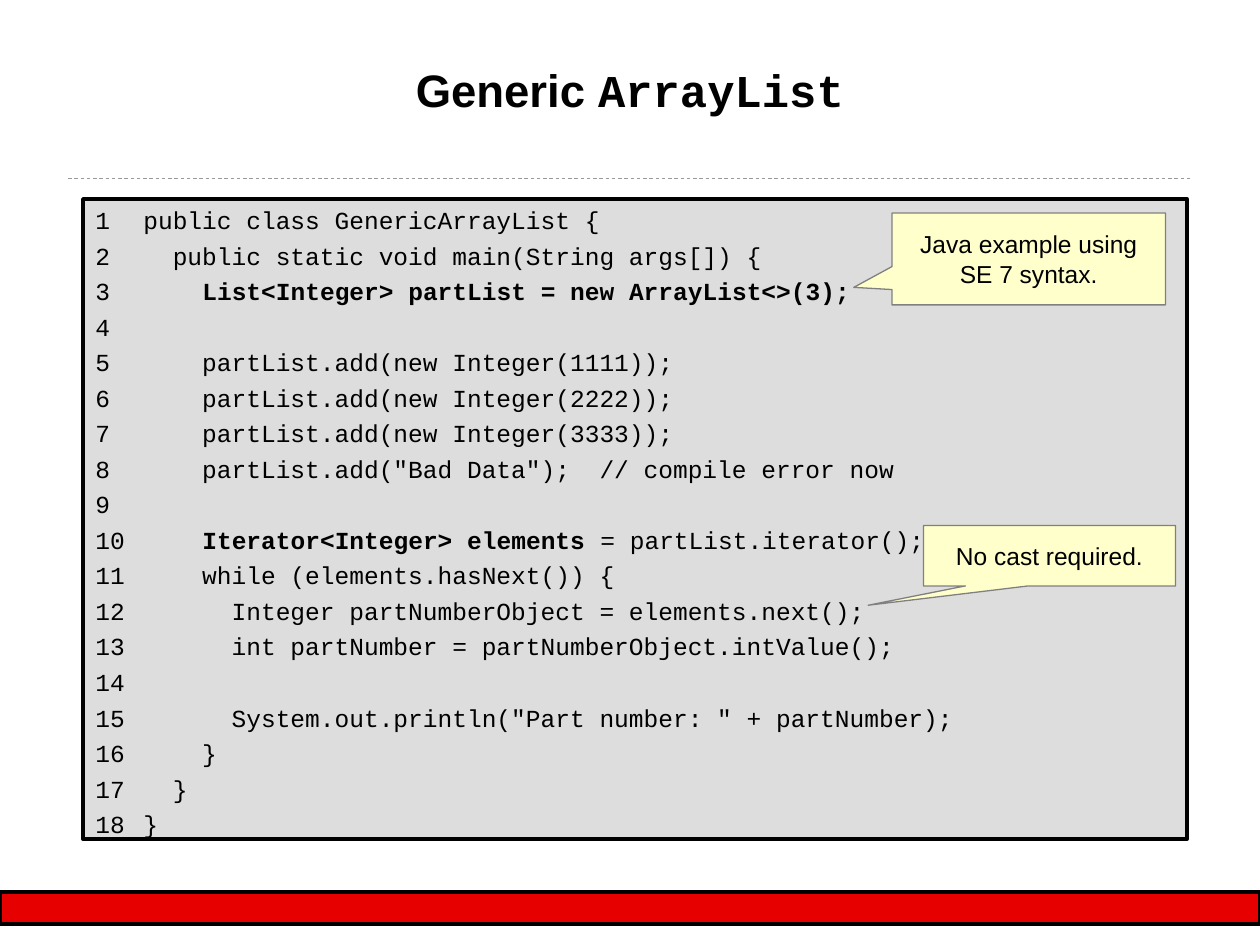
from lxml.etree import SubElement
from pptx import Presentation
from pptx.dml.color import RGBColor
from pptx.enum.dml import MSO_LINE
from pptx.enum.shapes import MSO_CONNECTOR, MSO_SHAPE
from pptx.enum.text import MSO_ANCHOR, MSO_AUTO_SIZE, PP_ALIGN
from pptx.oxml.ns import qn
from pptx.util import Inches, Pt

BLACK = RGBColor(0x00, 0x00, 0x00)
RED = RGBColor(0xE7, 0x00, 0x00)
CODE_GRAY = RGBColor(0xDD, 0xDD, 0xDD)
RULE_GRAY = RGBColor(0x99, 0x99, 0x99)
CALLOUT_YELLOW = RGBColor(0xFF, 0xFF, 0xCC)
CALLOUT_BORDER = RGBColor(0x80, 0x80, 0x80)

CODE_FONT = "Courier New"
TEXT_FONT = "Arial"

# Each line of code is a list of (text, bold) pieces
CODE_LINES = [
    [("public class GenericArrayList {", False)],
    [("  public static void main(String args[]) {", False)],
    [("    ", False), ("List<Integer> partList = new ArrayList<>(3);", True)],
    [(" ", False)],
    [("    partList.add(new Integer(1111));", False)],
    [("    partList.add(new Integer(2222));", False)],
    [("    partList.add(new Integer(3333));", False)],
    [('    partList.add("Bad Data");  // compile error now', False)],
    [(" ", False)],
    [("    ", False), ("Iterator<Integer> elements", True),
     (" = partList.iterator();", False)],
    [("    while (elements.hasNext()) {", False)],
    [("      Integer partNumberObject = elements.next();", False)],
    [("      int partNumber = partNumberObject.intValue();", False)],
    [(" ", False)],
    [('      System.out.println("Part number: " + partNumber);', False)],
    [("    }", False)],
    [("  }", False)],
    [("}", False)],
]

# Left, top, width, height, pointer offset, text
CALLOUTS = [
    (7.08, 1.69, 2.17, 0.73, (-0.64, 0.31), "Java example using SE 7 syntax."),
    (7.33, 4.17, 2, 0.48, (-0.72, 0.82), "No cast required."),
]


def add_text(paragraph, text, font=TEXT_FONT, size=14, bold=False):
    run = paragraph.add_run()
    run.text = text
    run.font.name = font
    run.font.size = Pt(size)
    run.font.bold = bold
    run.font.color.rgb = BLACK


def add_box(slide, kind, left, top, width, height, fill, line, line_width):
    shape = slide.shapes.add_shape(
        kind, Inches(left), Inches(top), Inches(width), Inches(height))
    shape.shadow.inherit = False
    shape.fill.solid()
    shape.fill.fore_color.rgb = fill
    shape.line.color.rgb = line
    shape.line.width = Pt(line_width)
    shape.text_frame.word_wrap = True
    return shape


presentation = Presentation()
presentation.slide_width = Inches(10)
presentation.slide_height = Inches(7.5)
slide = presentation.slides.add_slide(presentation.slide_layouts[5])

# Dashed rule under the title
rule = slide.shapes.add_connector(
    MSO_CONNECTOR.STRAIGHT, Inches(0.54), Inches(1.42), Inches(9.46), Inches(1.42))
rule.line.color.rgb = RULE_GRAY
rule.line.width = Pt(0.5)
rule.line.dash_style = MSO_LINE.DASH
SubElement(rule.element.spPr, qn("a:effectLst"))

# Footer bar
add_box(slide, MSO_SHAPE.FLOWCHART_PROCESS, 0, 7.08, 10, 0.25, RED, BLACK, 2.25)

# Title
title = slide.shapes.title
title.left, title.top = Inches(0.67), Inches(0.48)
title.width, title.height = Inches(8.66), Inches(0.96)
frame = title.text_frame
frame.auto_size = MSO_AUTO_SIZE.NONE
frame.vertical_anchor = MSO_ANCHOR.TOP
frame.margin_left = frame.margin_right = Inches(0.01)
frame.margin_top = frame.margin_bottom = Inches(0.01)
paragraph = frame.paragraphs[0]
paragraph.alignment = PP_ALIGN.CENTER
paragraph.space_before = Pt(6.5)
add_text(paragraph, "Generic ", size=26, bold=True)
add_text(paragraph, "ArrayList", font=CODE_FONT, size=26, bold=True)

# Numbered code listing
listing = add_box(slide, MSO_SHAPE.RECTANGLE, 0.66, 1.58, 8.76, 5.08,
                  CODE_GRAY, BLACK, 2.25)
frame = listing.text_frame
frame.vertical_anchor = MSO_ANCHOR.TOP
for index, pieces in enumerate(CODE_LINES):
    paragraph = frame.add_paragraph() if index else frame.paragraphs[0]
    paragraph.alignment = PP_ALIGN.LEFT
    paragraph.space_before = Pt(3.5)
    properties = paragraph._p.get_or_add_pPr()
    properties.set("marL", str(Inches(0.38)))
    properties.set("indent", str(Inches(-0.38)))
    bullet_color = SubElement(properties, qn("a:buClr"))
    SubElement(bullet_color, qn("a:srgbClr"), val=str(BLACK))
    SubElement(properties, qn("a:buFont"), typeface=CODE_FONT)
    SubElement(properties, qn("a:buAutoNum"), type="arabicPlain")
    for text, bold in pieces:
        add_text(paragraph, text, font=CODE_FONT, bold=bold)

# Callouts
for left, top, width, height, pointer, text in CALLOUTS:
    callout = add_box(slide, MSO_SHAPE.RECTANGULAR_CALLOUT, left, top, width, height,
                      CALLOUT_YELLOW, CALLOUT_BORDER, 0.75)
    callout.adjustments[0], callout.adjustments[1] = pointer
    callout.text_frame.vertical_anchor = MSO_ANCHOR.MIDDLE
    paragraph = callout.text_frame.paragraphs[0]
    paragraph.alignment = PP_ALIGN.CENTER
    add_text(paragraph, text)

presentation.save("out.pptx")
